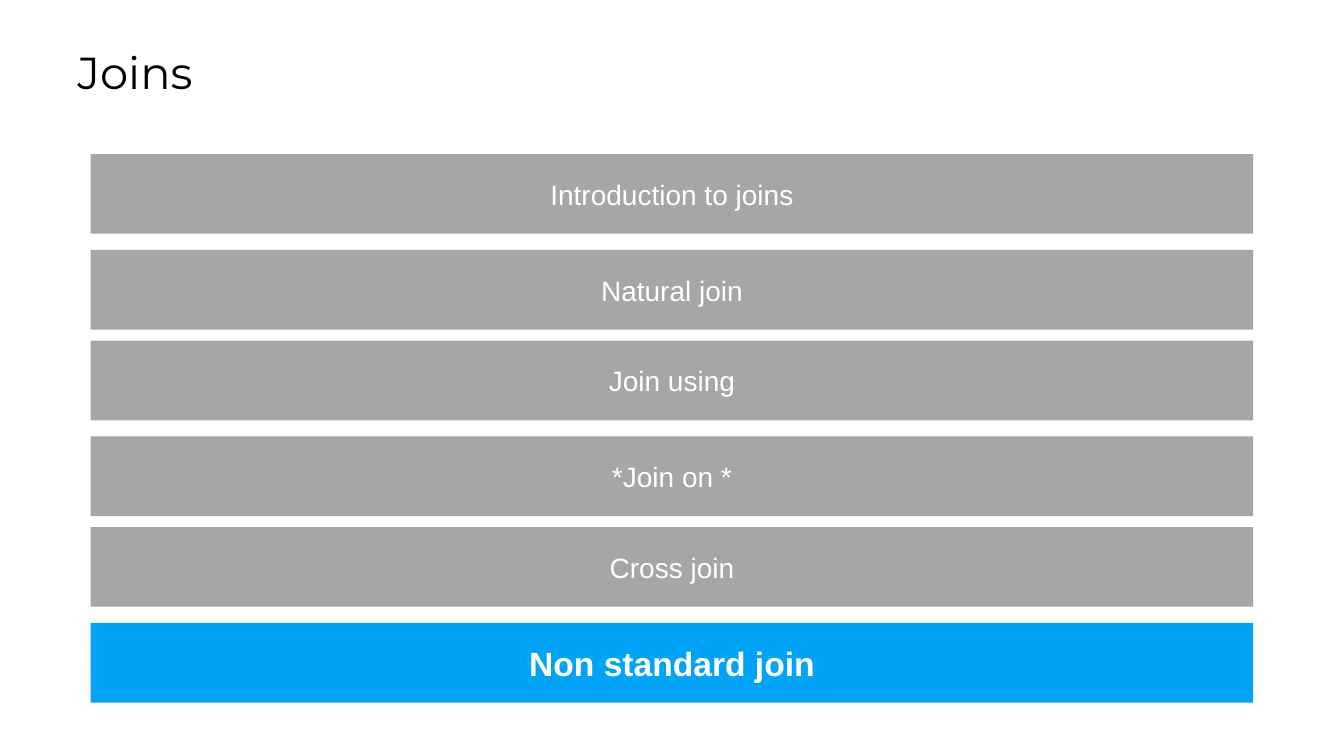
import pptx
import pptx.dml.color
import pptx.enum.shapes
import pptx.enum.text
import pptx.util

WHITE = pptx.dml.color.RGBColor(0xFF, 0xFF, 0xFF)
BLACK = pptx.dml.color.RGBColor(0x00, 0x00, 0x00)
GREY = pptx.dml.color.RGBColor(0xA6, 0xA6, 0xA6)
BLUE = pptx.dml.color.RGBColor(0x00, 0xA4, 0xF6)

TOPICS = ["Introduction to joins", "Natural join", "Join using",
          "*Join on *", "Cross join", "Non standard join"]
CURRENT_TOPIC = "Non standard join"

BAR_LEFT, BAR_WIDTH, BAR_HEIGHT = 6.75, 86.5, 10.53
FIRST_TOP, PAIR_STEP, PARTNER_STEP = 20.4, 24.67, 12.67


class AgendaSlide:
    title_font = "Montserrat"
    body_font = "Arial"

    def __init__(self, deck):
        self.width, self.height = deck.slide_width, deck.slide_height
        self.page = deck.slides.add_slide(deck.slide_layouts[5])

    def area(self, left, top, width, height):
        return (round(self.width * left / 100), round(self.height * top / 100),
                round(self.width * width / 100), round(self.height * height / 100))

    def label(self, shape, text, font, size, color, align, bold=False):
        frame = shape.text_frame
        frame.text = text
        frame.word_wrap = True
        frame.vertical_anchor = pptx.enum.text.MSO_ANCHOR.MIDDLE
        para = frame.paragraphs[0]
        para.alignment = align
        span = para.runs[0]
        span.font.name = font
        span.font.size = pptx.util.Pt(size)
        span.font.bold = bold
        span.font.color.rgb = color

    def title(self, text, *shares):
        box = self.page.shapes.title
        box.left, box.top, box.width, box.height = self.area(*shares)
        self.label(box, text, self.title_font, 32, BLACK, pptx.enum.text.PP_ALIGN.LEFT)

    def bar(self, text, *shares, current=False):
        box = self.page.shapes.add_shape(
            pptx.enum.shapes.MSO_SHAPE.RECTANGLE, *self.area(*shares))
        box.shadow.inherit = False
        box.fill.solid()
        box.fill.fore_color.rgb = BLUE if current else GREY
        box.line.fill.background()
        self.label(box, text, self.body_font, 24 if current else 20, WHITE,
                   pptx.enum.text.PP_ALIGN.CENTER, bold=current)


deck = pptx.Presentation()
deck.slide_width = pptx.util.Inches(13.33)
deck.slide_height = pptx.util.Inches(7.5)

agenda = AgendaSlide(deck)
agenda.title("Joins", 5.03, 5.2, 90.47, 8.53)
for index, topic in enumerate(TOPICS):
    pair, partner = divmod(index, 2)
    top = FIRST_TOP + pair * PAIR_STEP + partner * PARTNER_STEP
    agenda.bar(topic, BAR_LEFT, top, BAR_WIDTH, BAR_HEIGHT,
               current=topic == CURRENT_TOPIC)

deck.save("out.pptx")
